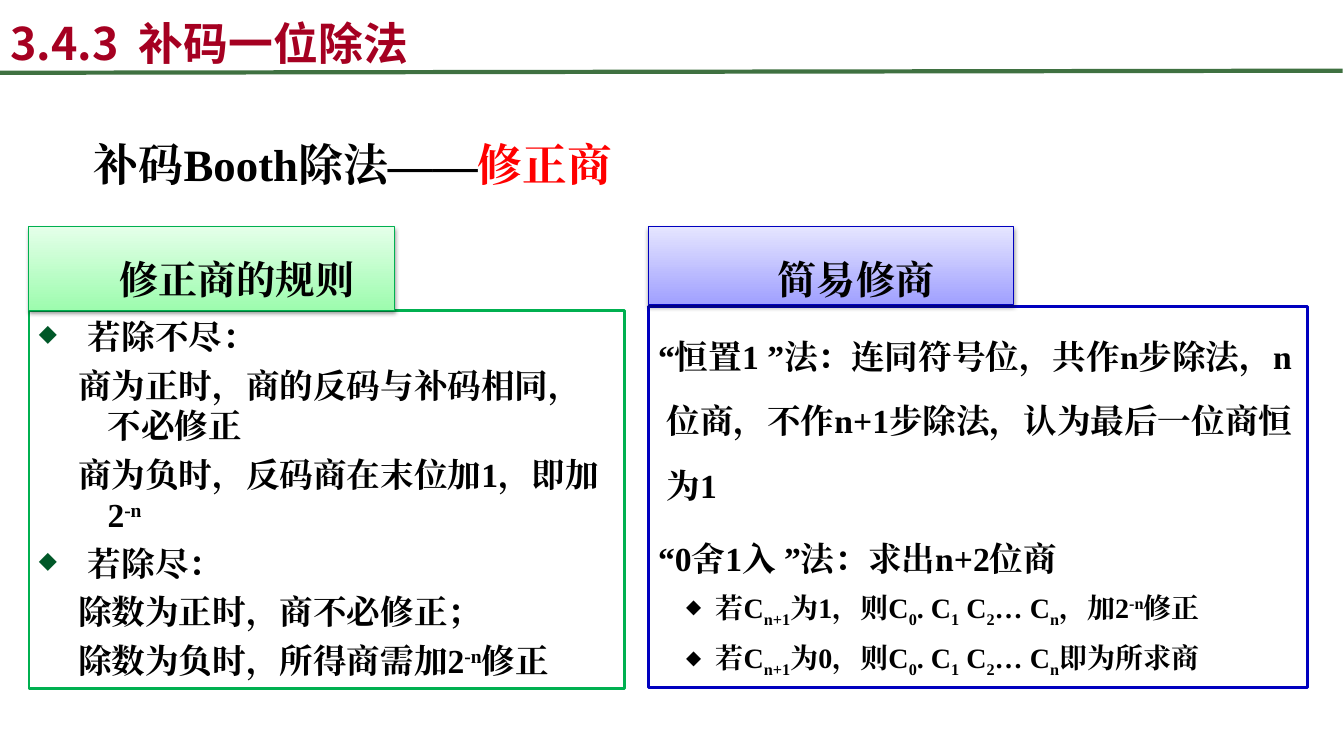
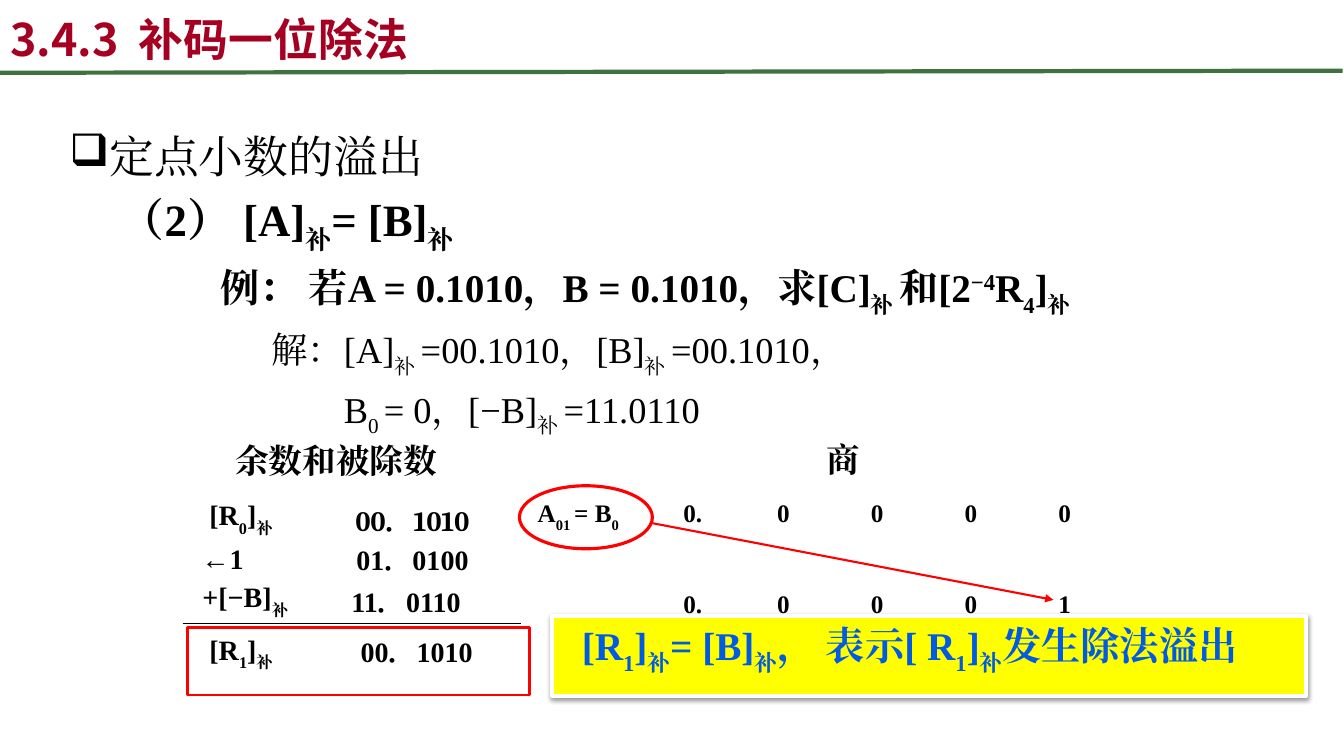
from lxml.etree import SubElement as Sub
from pptx import Presentation
from pptx.dml.color import RGBColor as RGB
from pptx.enum.shapes import MSO_CONNECTOR, MSO_SHAPE
from pptx.enum.text import MSO_ANCHOR, MSO_AUTO_SIZE, PP_ALIGN
from pptx.oxml.ns import qn
from pptx.util import Pt

# Shared colours, fonts and marks
BLACK, WHITE = RGB(0, 0, 0), RGB(255, 255, 255)
RED, YELLOW = RGB(255, 0, 0), RGB(255, 255, 0)
WINE, MOSS = RGB(0xA5, 0x00, 0x21), RGB(0x3F, 0x71, 0x41)
GREEN, NAVY = RGB(0x00, 0xB0, 0x50), RGB(0x00, 0x00, 0xBF)
MINT, PALE = RGB(0x9D, 0xFC, 0xAE), RGB(0xE4, 0xFF, 0xE9)
LILAC, MIST = RGB(0xA0, 0xA0, 0xFF), RGB(0xE5, 0xE5, 0xFF)
PINE, BLUE = RGB(0x00, 0x58, 0x28), RGB(0x00, 0x5B, 0xE2)
SERIF, SANS = "Times New Roman", "Noto Sans CJK SC"
LIFT = {"_": "-30000", "~": "-25000", "^": "30000"}
RECT, OVAL = MSO_SHAPE.RECTANGLE, MSO_SHAPE.OVAL


def frame(slide, kind, at, fill=None, line=None, width=1, shade=False):
    """Add a preset shape, or a text box when kind is None."""
    at = [Pt(n) for n in at]
    if kind is None:
        shape = slide.shapes.add_textbox(*at)
    else:
        shape = slide.shapes.add_shape(kind, *at)
        shape.shadow.inherit = False
        shape.line.color.rgb = line
        shape.line.width = Pt(width)
        if fill is None:
            shape.fill.background()
        elif isinstance(fill, list):
            shape.fill.gradient()
            shape.fill.gradient_angle = 90
            for stop, tint in zip(shape.fill.gradient_stops, fill):
                stop.color.rgb = tint
        else:
            shape.fill.solid()
            shape.fill.fore_color.rgb = fill
    if shade:
        glow = Sub(shape._element.spPr.find(qn("a:effectLst")), qn("a:outerShdw"),
                   blurRad="40000", dist="20000", dir="5400000", rotWithShape="0")
        tone = Sub(glow, qn("a:srgbClr"), val="000000")
        Sub(tone, qn("a:alpha"), val="38000")
    shape.text_frame.word_wrap = True
    shape.text_frame.vertical_anchor = MSO_ANCHOR.TOP
    return shape


def write(shape, words, size, color=BLACK, bold=True, name=SERIF, left=0,
          first=0, before=0, lead=None, mark=None, tint=BLACK, scale=70):
    """Add a paragraph; | parts its runs, and _ ~ ^ lower or raise one."""
    body = shape.text_frame
    para = body.paragraphs[0]
    if para.runs:
        para = body.add_paragraph()
    for part in words.split("|"):
        run = para.add_run()
        if part[0] in LIFT:
            run._r.get_or_add_rPr().set("baseline", LIFT[part[0]])
            part = part[1:]
        run.text = part
    para.alignment = PP_ALIGN.LEFT
    para.space_before = Pt(before)
    if lead:
        para.line_spacing = lead
    prop = para._p.get_or_add_pPr()
    prop.set("marL", str(Pt(left)))
    prop.set("indent", str(Pt(first)))
    if mark:
        Sub(Sub(prop, qn("a:buClr")), qn("a:srgbClr"), val=str(tint))
        Sub(prop, qn("a:buSzPct"), val=str(scale * 1000))
        Sub(prop, qn("a:buChar"), char=mark)
    else:
        Sub(prop, qn("a:buNone"))
    font = para.font
    font.size, font.bold, font.name = Pt(size), bold, name
    font.color.rgb = color
    Sub(prop.find(qn("a:defRPr")), qn("a:ea"), typeface=name)
    return para


deck = Presentation()
deck.slide_width, deck.slide_height = Pt(960), Pt(540)

# Titles
pages = []
for tall in (49, 46):
    page = deck.slides.add_slide(deck.slide_layouts[5])
    title = page.shapes.title
    title.left, title.top, title.width, title.height = Pt(0), Pt(4.3), Pt(674), Pt(tall)
    write(title, "3.4.3  补码一位除法", 32, WINE, name=SANS, lead=1.6)
    title.text_frame.vertical_anchor = MSO_ANCHOR.BOTTOM
    title.text_frame.auto_size = MSO_AUTO_SIZE.NONE
    pages.append(page)
rules, flow = pages

# Slide 1: heading
head = frame(rules, None, (60, 71.3, 857, 148))
para = write(head, "补码Booth除法——|修正商", 32, before=6, lead=1.6)
para.runs[-1].font.color.rgb = RED

# Slide 1: rules on the left
card = frame(rules, RECT, (20.7, 222, 425.5, 270), WHITE, GREEN, 2)
for top, lines in (
    ("若除不尽：", ("商为正时，商的反码与补码相同，不必修正",
                "商为负时，反码商在末位加1，即加2|^-n")),
    ("若除尽：", ("除数为正时，商不必修正；",
               "除数为负时，所得商需加2|^-n|修正")),
):
    write(card, top, 24, left=35, first=-35, before=6, mark="◆", tint=PINE)
    for line in lines:
        write(card, line, 24, left=49, first=-21, before=6)

# Slide 1: simple ways on the right
card = frame(rules, RECT, (463, 219, 471, 272), WHITE, NAVY, 2)
for line in ("“恒置1 ”法：连同符号位，共作n步除法，n位商，不作n+1步除法，认为最后一位商恒为1",
             "“0舍1入 ”法：求出n+2位商"):
    write(card, line, 24, left=6, first=-21, before=6, lead=1.6)
for bit, end in (("1", "，加2|^-n|修正"), ("0", "即为所求商")):
    write(card, f"若C|~n+1|为{bit}，则C|~0|. C|~1| C|~2|… C|~n|{end}", 20,
          left=41, first=-21, before=6, lead=1.1, mark="◆")

# Slide 1: labels over both cards
for x, tall, fade, edge, words, before in (
    (20.7, 60, [MINT, PALE], GREEN, "修正商的规则", 6),
    (463, 55.5, [LILAC, MIST], NAVY, "简易修商", 12),
):
    label = frame(rules, RECT, (x, 162, 261, tall), fade, edge, 0.75, True)
    para = write(label, words, 28, left=58, first=-22, before=before, lead=1.5)
    para.alignment = PP_ALIGN.CENTER

# Slide 2: problem
body = frame(flow, None, (42.5, 88.5, 860, 397))
write(body, "定点小数的溢出", 32, bold=False, left=27, first=-27, before=6.4,
      mark="❑", scale=100)
write(body, "（2） [A]|_补|= [B]|_补", 32, left=36, before=6.4)
write(body, "例： 若A = 0.1010，B = 0.1010，求[C]|_补 |和[2|^−4|R|_4|]|_补", 28,
      left=108, before=5.6)
write(body, "解：[A]|_补 |=00.1010，[B]|_补 |=00.1010，", 26, bold=False,
      left=144, before=6)
write(body, "B|_0 |= 0，[−B]|_补 |=11.0110", 26, bold=False, left=196, before=6)

# Slide 2: remainders
for x, y, wide, words, size, name in (
    (161, 311, 184, "余数和被除数", 24, SERIF),
    (583, 310, 67, "商", 24, SERIF),
    (142.5, 352, 89, "[R|_0|]|_补", 20, SERIF),
    (247, 356, 130, "00．1010", 20, "Cambria"),
    (137, 383, 89, "←1", 20, SERIF),
    (247.5, 384, 130, "01．0100", 20, SERIF),
    (137.5, 410.5, 89, "+[−B]|_补", 20, SERIF),
    (244, 414, 130, "11．0110", 20, SERIF),
    (142.5, 448, 99, "[R|_1|]|_补", 20, SERIF),
    (250.5, 450, 130, "00．1010", 20, SERIF),
    (377, 352, 104, "A|_01 |= B|_0", 18, SERIF),
):
    write(frame(flow, None, (x, y, wide, 40)), words, size, name=name)

# Slide 2: quotient digits
for y, row in ((352, ("0.", "0", "0", "0", "0")),
               (416.5, ("0.", "0", "0", "0", "1"))):
    for i, digit in enumerate(row):
        write(frame(flow, None, (481 + 67 * i, y, 67, 40)), digit, 18)

# Slide 2: marks and result
frame(flow, OVAL, (371, 347, 95, 45), None, RED, 2.25)
note = frame(flow, RECT, (394.5, 440, 538.5, 57), YELLOW, WHITE, 3, True)
write(note, "[R|_1|]|_补|= [B]|_补|， 表示[ R|_1|]|_补|发生除法溢出", 28, BLUE, left=14)
frame(flow, RECT, (134, 448.5, 244, 48), None, RED, 2)

# Lines: the title rule on both slides, the sum line and the arrow
rule = ((0, 52, 959, 50.5), MOSS, 3, False)
for page, (ends, color, width, arrow) in (
    (rules, rule),
    (flow, rule),
    (flow, ((130.5, 445.7, 372, 445.7), BLACK, 0.75, False)),
    (flow, ((466, 373.7, 752.5, 428.5), RED, 1.5, True)),
):
    link = page.shapes.add_connector(MSO_CONNECTOR.STRAIGHT, *[Pt(n) for n in ends])
    link.line.color.rgb = color
    link.line.width = Pt(width)
    if arrow:
        Sub(link.line._get_or_add_ln(), qn("a:tailEnd"), type="triangle")
    Sub(link._element.spPr, qn("a:effectLst"))

deck.save("out.pptx")
